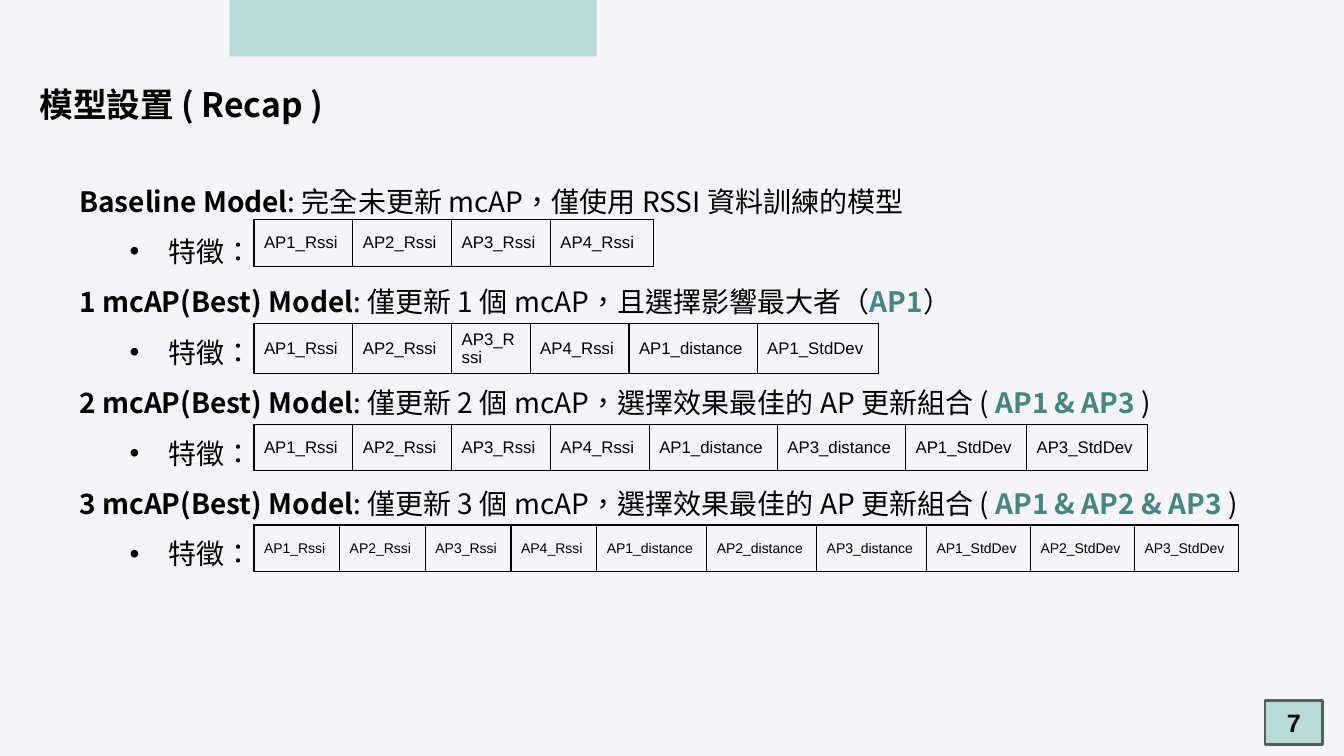
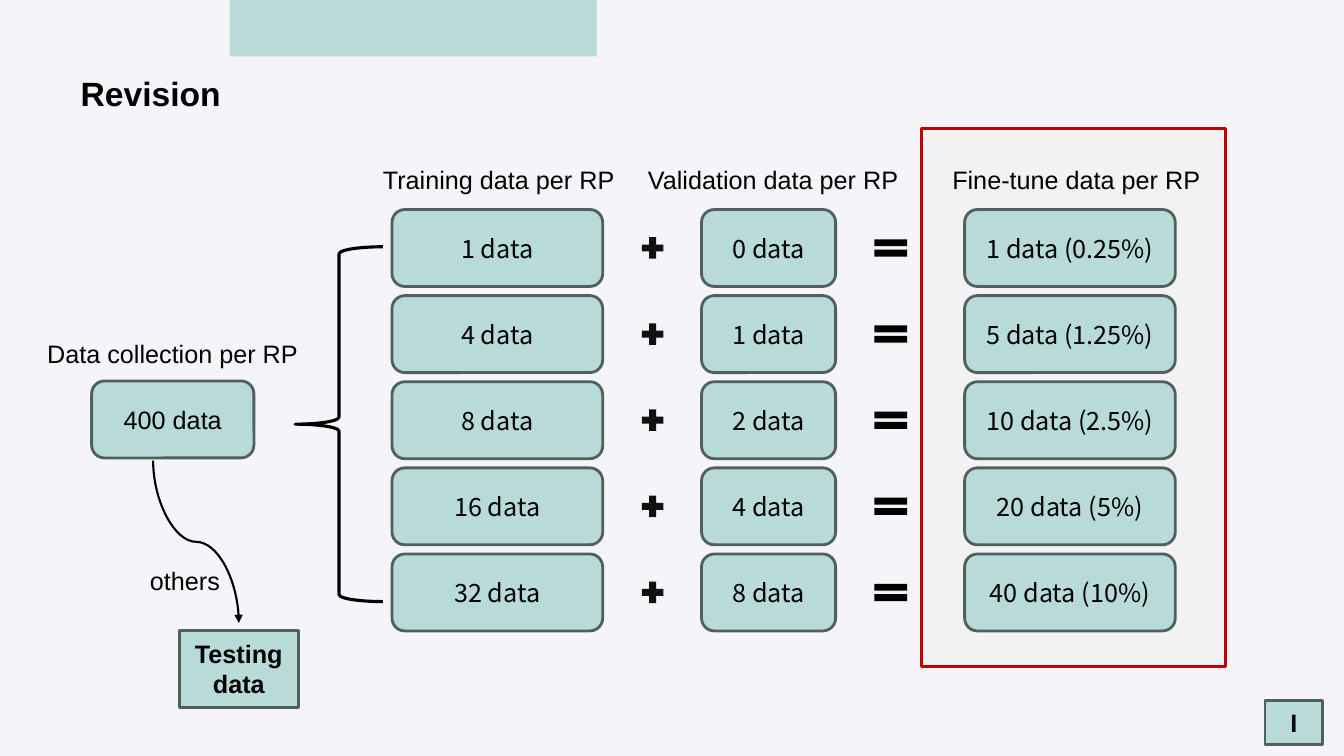
"""Build two slides on model settings and data splits."""
from lxml.etree import SubElement
from pptx import Presentation
from pptx.dml.color import RGBColor
from pptx.enum.shapes import MSO_CONNECTOR, MSO_SHAPE
from pptx.enum.text import MSO_ANCHOR, MSO_AUTO_SIZE, PP_ALIGN
from pptx.oxml.ns import qn
from pptx.util import Cm, Pt

COLORS = {
    "background": "F4F4F9", "mint": "B8DBD9", "outline": "51605F",
    "panel": "F2F2F2", "red": "C00000", "teal": "448682",
    "black": "000000", "page": "0D0D0D", "plus": "111111",
}
LATIN = "Arial"
CJK = "Noto Sans CJK SC"
KIND_WIDTHS = {
    12: {"Rssi": 2.49, "distance": 3.23, "StdDev": 3.05},
    10: {"Rssi": 2.16, "distance": 2.77, "StdDev": 2.62},
}
ALL_APS = (1, 2, 3, 4)
MODELS = [
    {"name": "Baseline Model", "text": ": 完全未更新 mcAP，僅使用 RSSI 資料訓練的模型",
     "best": "", "close": "", "updated": (), "top": 1.45, "size": 12,
     "widths": {"AP4_Rssi": 2.59}},
    {"name": "1 mcAP(Best) Model", "text": ": 僅更新 1 個 mcAP，且選擇影響最大者（",
     "best": "AP1", "close": "）", "updated": (1,), "top": 4.06, "size": 12,
     "widths": {"AP3_Rssi": 1.98}},
    {"name": "2 mcAP(Best) Model",
     "text": ": 僅更新 2 個 mcAP，選擇效果最佳的 AP 更新組合 ( ",
     "best": "AP1 & AP3 ", "close": ")", "updated": (1, 3), "top": 6.6,
     "size": 12, "widths": {}},
    {"name": "3 mcAP(Best) Model",
     "text": ": 僅更新 3 個 mcAP，選擇效果最佳的 AP 更新組合 ( ",
     "best": "AP1 & AP2 & AP3", "close": " )", "updated": (1, 2, 3), "top": 9.14,
     "size": 10, "widths": {}},
]
SPLITS = [
    ("1 data", "0 data", "1 data (0.25%)"),
    ("4 data", "1 data", "5 data (1.25%)"),
    ("8 data", "2 data", "10 data (2.5%)"),
    ("16 data", "4 data", "20 data (5%)"),
    ("32 data", "8 data", "40 data (10%)"),
]


def color(name):
    """Return the named palette colour."""
    return RGBColor.from_string(COLORS[name])


def add_run(paragraph, text, size=18, font=LATIN, bold=False, tint="black"):
    """Add one formatted run, with the same font for Latin and Chinese."""
    run = paragraph.add_run()
    run.text = text
    run.font.size = Pt(size)
    run.font.bold = bold
    run.font.color.rgb = color(tint)
    run.font.name = font
    if font == CJK:
        properties = run._r.get_or_add_rPr()
        properties.set("lang", "zh-TW")
        SubElement(properties, qn("a:ea")).set("typeface", font)


def add_box(slide, left, top, width, height, kind=MSO_SHAPE.RECTANGLE,
            fill="mint", line="outline", weight=2):
    """Add a preset shape with an optional fill and outline."""
    shape = slide.shapes.add_shape(kind, Cm(left), Cm(top), Cm(width), Cm(height))
    shape.shadow.inherit = False
    if fill:
        shape.fill.solid()
        shape.fill.fore_color.rgb = color(fill)
    else:
        shape.fill.background()
    if line:
        shape.line.color.rgb = color(line)
        shape.line.width = Pt(weight)
    else:
        shape.line.fill.background()
    return shape


def add_text_box(slide, left, top, width, height=1.02):
    """Add a wrapping text box and return its frame."""
    frame = slide.shapes.add_textbox(Cm(left), Cm(top), Cm(width), Cm(height)).text_frame
    frame.word_wrap = True
    return frame


def add_label(slide, text, left, top, width):
    """Add a plain left-aligned caption."""
    add_run(add_text_box(slide, left, top, width).paragraphs[0], text)


def add_centered(shape, text, **style):
    """Write centred text in a shape."""
    frame = shape.text_frame
    frame.word_wrap = True
    frame.vertical_anchor = MSO_ANCHOR.MIDDLE
    frame.paragraphs[0].alignment = PP_ALIGN.CENTER
    add_run(frame.paragraphs[0], text, **style)


def add_titled_slide(presentation, title, font, left, top, width, page):
    """Add a slide with its band, title and page badge."""
    slide = presentation.slides.add_slide(presentation.slide_layouts[5])
    add_box(slide, 5.79, 0, 9.25, 1.42, line=None)
    placeholder = slide.shapes.title
    placeholder.left, placeholder.top = Cm(left), Cm(top)
    placeholder.width, placeholder.height = Cm(width), Cm(1.27)
    frame = placeholder.text_frame
    frame.auto_size = MSO_AUTO_SIZE.NONE
    frame.vertical_anchor = MSO_ANCHOR.MIDDLE
    frame.paragraphs[0].alignment = PP_ALIGN.LEFT
    add_run(frame.paragraphs[0], title, size=24, font=font, bold=True)
    add_centered(add_box(slide, 31.88, 17.65, 1.45, 1.12), page, bold=True, tint="page")
    return slide


def set_bullet(paragraph):
    """Give a paragraph a hanging round bullet."""
    properties = paragraph._p.get_or_add_pPr()
    properties.set("marL", str(Cm(2.24)))
    properties.set("indent", str(Cm(-0.97)))
    SubElement(properties, qn("a:buFont")).set("typeface", LATIN)
    SubElement(properties, qn("a:buChar")).set("char", "•")


def set_borders(cell):
    """Draw a thin black border on each side of a cell."""
    properties = cell._tc.get_or_add_tcPr()
    for index, side in enumerate(("lnL", "lnR", "lnT", "lnB")):
        border = SubElement(properties, qn(f"a:{side}"))
        border.set("w", str(Pt(1)))
        fill = SubElement(border, qn("a:solidFill"))
        SubElement(fill, qn("a:srgbClr")).set("val", COLORS["black"])
        properties.insert(index, border)


def add_feature_table(slide, model, left, top):
    """Add the one-row table of a model's input features."""
    groups = [("Rssi", ALL_APS), ("distance", model["updated"]),
              ("StdDev", model["updated"])]
    features = [(f"AP{ap}_{kind}", kind) for kind, aps in groups for ap in aps]
    size = model["size"]
    widths = [model["widths"].get(name, KIND_WIDTHS[size][kind])
              for name, kind in features]
    table = slide.shapes.add_table(1, len(features), Cm(left), Cm(top),
                                   Cm(sum(widths)), Cm(1.17)).table
    table.first_row = table.horz_banding = False
    for index, (name, _) in enumerate(features):
        table.columns[index].width = Cm(widths[index])
        cell = table.cell(0, index)
        cell.fill.background()
        cell.vertical_anchor = MSO_ANCHOR.MIDDLE
        set_borders(cell)
        add_run(cell.text_frame.paragraphs[0], name, size=size)


def add_models(slide, left, top):
    """Describe each model and list its features beside the bullet."""
    frame = add_text_box(slide, left, top, 31.8, 10.36)
    paragraph = frame.paragraphs[0]
    for index, model in enumerate(MODELS):
        if index:
            paragraph = frame.add_paragraph()
        add_run(paragraph, model["name"], 20, CJK, bold=True)
        add_run(paragraph, model["text"], 20, CJK)
        if model["best"]:
            add_run(paragraph, model["best"], 20, CJK, bold=True, tint="teal")
            add_run(paragraph, model["close"], 20, CJK)
        bullet = frame.add_paragraph()
        set_bullet(bullet)
        add_run(bullet, "特徵：", 20, CJK)
        add_feature_table(slide, model, left + 4.65, top + model["top"])
    for paragraph in frame.paragraphs:
        paragraph.line_spacing = Pt(36)


def add_curved_arrow(slide, left, top, width, height):
    """Add an S-shaped arrow that runs downwards across the given box."""
    middle_x, middle_y = left + width / 2, top + height / 2
    arrow = slide.shapes.add_connector(
        MSO_CONNECTOR.CURVE,
        Cm(middle_x + height / 2), Cm(middle_y - width / 2),
        Cm(middle_x - height / 2), Cm(middle_y + width / 2))
    properties = arrow._element.spPr
    properties.find(qn("a:xfrm")).set("rot", str(270 * 60000))
    arrow.line.color.rgb = color("black")
    arrow.line.width = Pt(1.5)
    SubElement(properties.find(qn("a:ln")), qn("a:tailEnd")).set("type", "triangle")
    SubElement(properties, qn("a:effectLst"))


def add_collection(slide, left, top):
    """Show the collected data and the part kept for testing."""
    add_label(slide, "Data collection per RP", left, top, 7.01)
    collected = add_box(slide, left + 1.37, top + 1.19, 4.09, 1.94,
                        MSO_SHAPE.ROUNDED_RECTANGLE)
    add_centered(collected, "400 data")
    add_curved_arrow(slide, left + 2.92, top + 3.2, 2.16, 4.09)
    add_label(slide, "others", left + 2.59, top + 5.71, 3)
    testing = add_box(slide, left + 3.58, top + 7.47, 3, 1.94)
    add_centered(testing, "Testing data", bold=True)


def add_splits(slide, left, top):
    """Show training plus validation data as fine-tuning data, row by row."""
    add_box(slide, left + 15.78, top - 0.78, 7.67, 13.56, fill="panel", line="red")
    brace = add_box(slide, left, top + 2.21, 2.21, 8.94, MSO_SHAPE.LEFT_BRACE,
                    fill=None, line="black", weight=2.25)
    brace.adjustments[0], brace.adjustments[1] = 0.08, 0.5
    for text, offset, width in (("Training data per RP", 1.96, 6.68),
                                ("Validation data per RP", 8.64, 7.14),
                                ("Fine-tune data per RP", 16.31, 7.14)):
        add_label(slide, text, left + offset, top, width)
    columns = ((2.44, 5.31), (10.24, 3.38), (16.87, 5.31))
    operators = ((MSO_SHAPE.MATH_PLUS, 8.64, 0.74, "plus"),
                 (MSO_SHAPE.MATH_EQUAL, 14.45, 1.12, "black"))
    for row, amounts in enumerate(SPLITS):
        row_top = top + 1.27 + 2.17 * row
        for amount, (offset, width) in zip(amounts, columns):
            box = add_box(slide, left + offset, row_top, width, 1.94,
                          MSO_SHAPE.ROUNDED_RECTANGLE)
            add_centered(box, amount, font=CJK)
        for kind, offset, width, fill in operators:
            add_box(slide, left + offset, row_top + 0.6, width, 0.74, kind,
                    fill=fill, line=None)


def main():
    """Build and save the presentation."""
    presentation = Presentation()
    presentation.slide_width, presentation.slide_height = Cm(33.87), Cm(19.05)
    background = presentation.slide_master.background.fill
    background.solid()
    background.fore_color.rgb = color("background")
    models = add_titled_slide(presentation, "模型設置 ( Recap )", CJK,
                              0.74, 1.98, 25.32, "7")
    add_models(models, 1.75, 4.09)
    revision = add_titled_slide(presentation, "Revision", LATIN,
                                1.78, 1.7, 25.73, "I")
    add_collection(revision, 0.94, 8.41)
    add_splits(revision, 7.44, 4.01)
    presentation.save("out.pptx")


if __name__ == "__main__":
    main()
